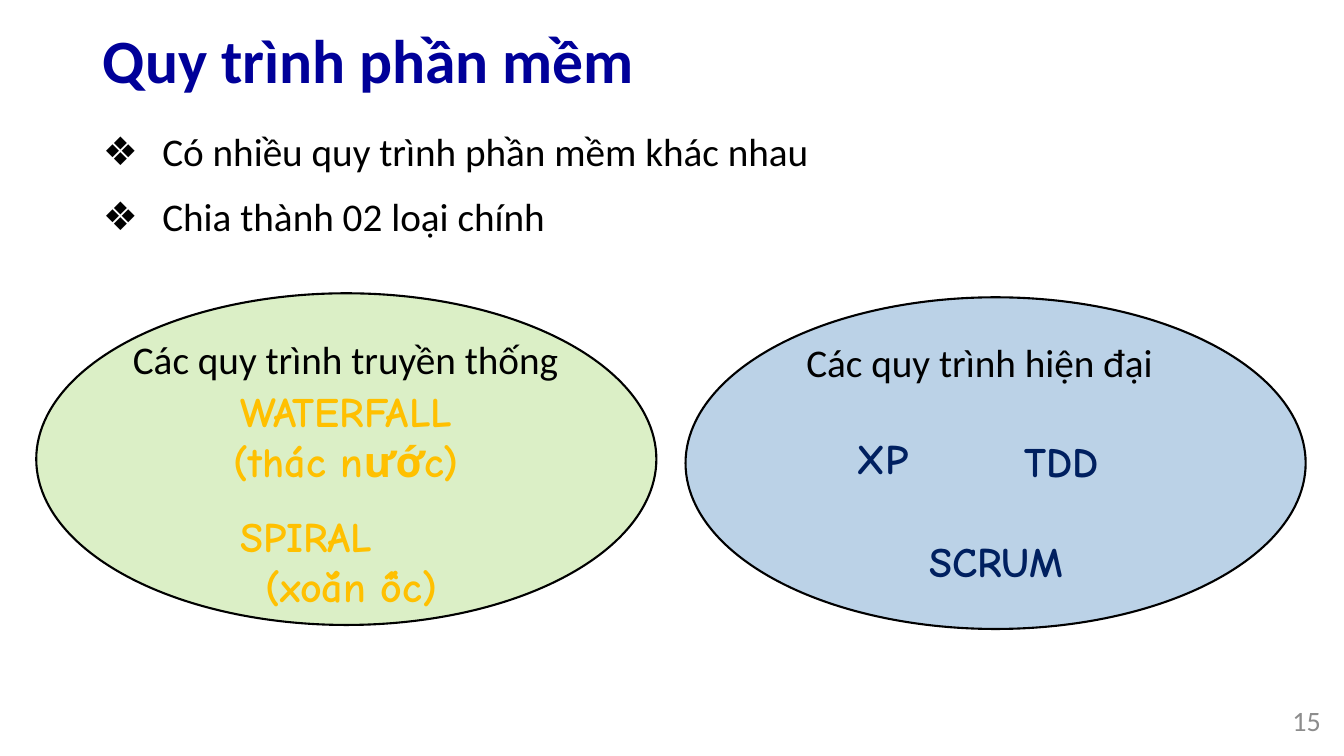
from lxml.etree import SubElement
from pptx import Presentation
from pptx.dml.color import RGBColor
from pptx.enum.shapes import MSO_SHAPE as Shape
from pptx.enum.text import MSO_ANCHOR as Anchor, MSO_AUTO_SIZE as AutoSize, PP_ALIGN as Align
from pptx.oxml.ns import qn
from pptx.util import Inches, Pt

SLIDE_WIDTH, SLIDE_HEIGHT = Inches(13.33), Inches(7.5)

NAVY = RGBColor(0x00, 0x00, 0x99)
DEEP_BLUE = RGBColor(0x00, 0x20, 0x60)
BLUE = RGBColor(0x2E, 0x75, 0xB6)
GREEN = RGBColor(0x92, 0xD0, 0x50)
GOLD = RGBColor(0xFF, 0xC0, 0x00)
GRAY = RGBColor(0x8C, 0x8C, 0x8C)
BLACK = RGBColor(0x00, 0x00, 0x00)

# Sizes in percent of the slide's width and height
OVAL_SIZE = (46.14, 43.87)
HEADING_SIZE = (33.76, 7.87)
LABEL_SIZE = (30.98, 15.07)


def box(left, top, width, height):
    """Turn percentages of the slide into lengths."""
    return (int(SLIDE_WIDTH * left / 100), int(SLIDE_HEIGHT * top / 100),
            int(SLIDE_WIDTH * width / 100), int(SLIDE_HEIGHT * height / 100))


def format_paragraph(paragraph, size, color, name="Calibri", bold=False,
                     align=Align.LEFT, line=1.0, before=0, after=0):
    font = paragraph.font
    font.size, font.name, font.bold = Pt(size), name, bold
    font.color.rgb = color
    paragraph.alignment = align
    paragraph.line_spacing = line
    paragraph.space_before, paragraph.space_after = Pt(before), Pt(after)


def fill_placeholder(placeholder, area, lines):
    placeholder.left, placeholder.top, placeholder.width, placeholder.height = box(*area)
    frame = placeholder.text_frame
    frame.text = "\n".join(lines)
    frame.auto_size = AutoSize.NONE
    return frame


def add_title(slide, text):
    frame = fill_placeholder(slide.shapes.title, (6.9, 3.07, 86.27, 10.67), [text])
    frame.vertical_anchor = Anchor.MIDDLE
    format_paragraph(frame.paragraphs[0], 44, NAVY, bold=True, line=0.9)


def add_bullets(slide, lines):
    frame = fill_placeholder(slide.placeholders[1], (6.9, 16.93, 91.45, 74.67), lines)
    for paragraph in frame.paragraphs:
        format_paragraph(paragraph, 28, BLACK, line=0.9, before=10, after=6)
        properties = paragraph._p.get_or_add_pPr()
        properties.set("marL", str(Inches(0.59)))
        properties.set("indent", str(-Inches(0.59)))
        SubElement(properties, qn("a:buChar"), char="❖")


def add_text(shapes, area, text, **style):
    frame = shapes.add_textbox(*box(*area)).text_frame
    frame.word_wrap = True
    frame.text = text
    format_paragraph(frame.paragraphs[0], **style)
    return frame


def add_ellipse(shapes, position, size):
    ellipse = shapes.add_shape(Shape.OVAL, *box(*position, *size))
    ellipse.shadow.inherit = False
    return ellipse


def add_label(shapes, position, lines, color, first_indent):
    """Place a process name; first_indent moves its first line off centre."""
    label = add_ellipse(shapes, position, LABEL_SIZE)
    label.fill.background()
    label.line.fill.background()
    frame = label.text_frame
    frame.vertical_anchor = Anchor.MIDDLE
    frame.text = "\n".join(lines)
    for paragraph in frame.paragraphs:
        format_paragraph(paragraph, 30, color, "Comic Neue", True, Align.CENTER)
    frame.paragraphs[-1].space_after = Pt(6)
    if first_indent:
        first = frame.paragraphs[0]
        first.alignment = Align.LEFT
        first._p.get_or_add_pPr().set("marL", str(Inches(first_indent)))


def add_family(slide, position, fill, heading, heading_position, label_color, labels):
    """Group a tinted oval with its heading and process names."""
    shapes = slide.shapes.add_group_shape().shapes
    oval = add_ellipse(shapes, position, OVAL_SIZE)
    oval.fill.solid()
    oval.fill.fore_color.rgb = fill
    tint = oval._element.spPr.find(qn("a:solidFill")).find(qn("a:srgbClr"))
    SubElement(tint, qn("a:alpha"), val="32000")
    oval.line.color.rgb = BLACK
    oval.line.width = Pt(1.5)
    add_text(shapes, (*heading_position, *HEADING_SIZE), heading,
             size=28, color=BLACK, line=0.8, before=10, after=6)
    for label_position, lines, first_indent in labels:
        add_label(shapes, label_position, lines, label_color, first_indent)


def main():
    presentation = Presentation()
    presentation.slide_width, presentation.slide_height = SLIDE_WIDTH, SLIDE_HEIGHT
    slide = presentation.slides.add_slide(presentation.slide_layouts[1])

    # Title and list
    add_title(slide, "Quy trình phần mềm")
    add_bullets(slide, ["Có nhiều quy trình phần mềm khác nhau", "Chia thành 02 loại chính"])

    # Slide number
    number = add_text(slide.shapes, (76.52, 92.67, 22.5, 5.33), "15",
                      size=20, color=GRAY, align=Align.RIGHT)
    number.vertical_anchor = Anchor.MIDDLE

    # Traditional and modern processes
    add_family(slide, (2.7, 38.8), GREEN, "Các quy trình truyền thống", (9.15, 44.93), GOLD, [
        ((10.28, 50.13), ["WATERFALL (thác nước)"], 0),
        ((10.65, 66.67), ["SPIRAL", "(xoắn ốc)"], 0.26),
    ])
    add_family(slide, (51.01, 39.33), BLUE, "Các quy trình hiện đại", (59.26, 45.33), DEEP_BLUE, [
        ((50.19, 53.07), ["XP"], 0),
        ((63.47, 53.47), ["TDD"], 0),
        ((58.66, 66.67), ["SCRUM"], 0),
    ])

    presentation.save("out.pptx")


if __name__ == "__main__":
    main()
